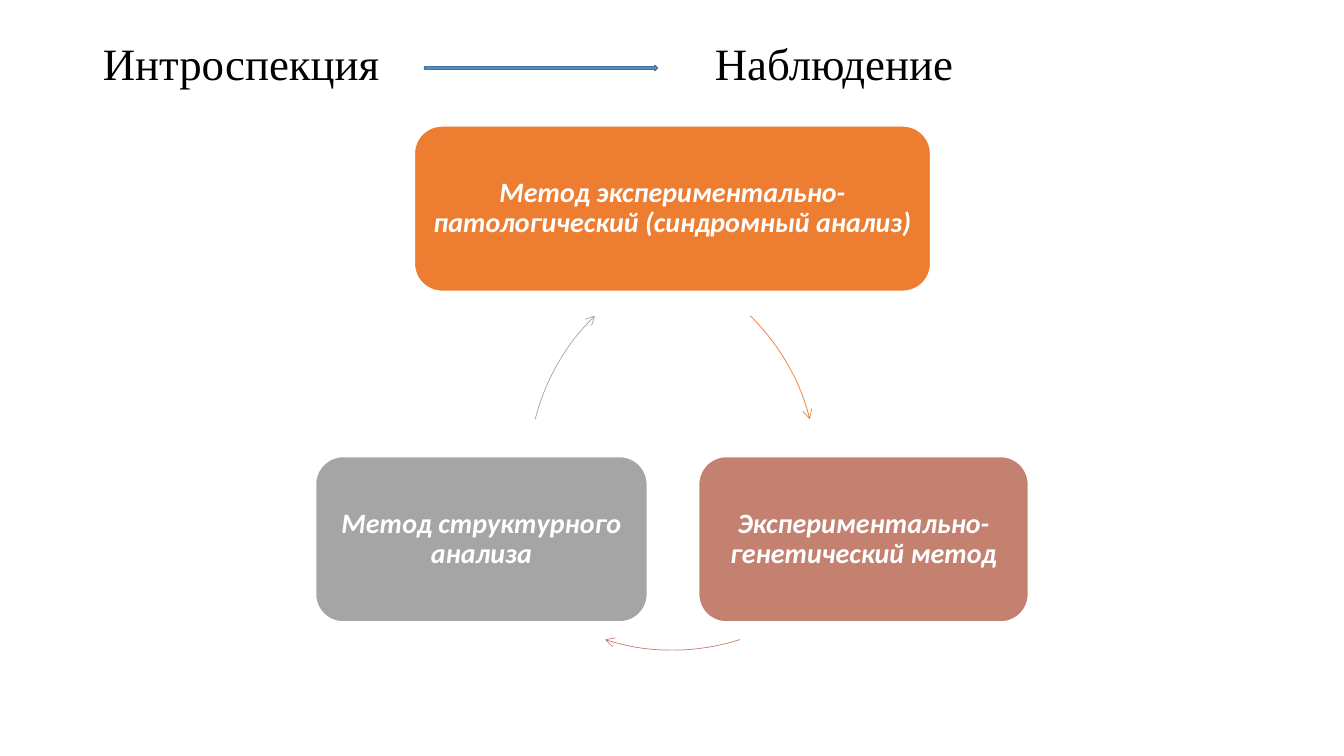
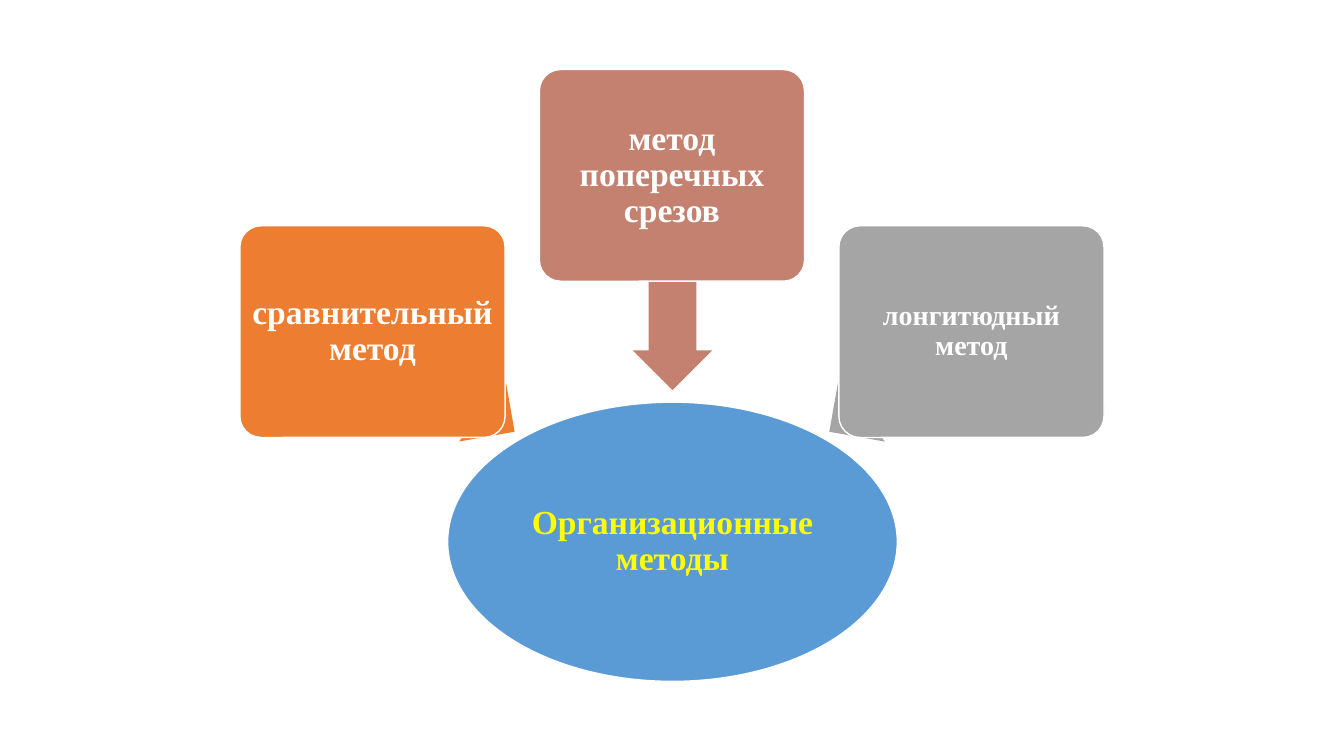
from dataclasses import dataclass

from lxml.etree import SubElement
from pptx import Presentation
from pptx.dml.color import RGBColor
from pptx.enum.shapes import MSO_SHAPE
from pptx.enum.text import MSO_ANCHOR, MSO_AUTO_SIZE, PP_ALIGN
from pptx.oxml.ns import qn
from pptx.presentation import Presentation as PresentationType
from pptx.shapes.autoshape import Shape
from pptx.slide import Slide
from pptx.util import Inches, Pt

COLORS = {
    "orange": "ED7D31",
    "terracotta": "C48170",
    "gray": "A5A5A5",
    "blue": "5B9BD5",
    "dark_blue": "43739E",
    "white": "FFFFFF",
    "yellow": "FFFF00",
    "black": "000000",
}
SERIF = "Times New Roman"
SANS = "Calibri"
LINE_SPACING = 0.9
SLIDE_WIDTH, SLIDE_HEIGHT = 13.33, 7.5
TITLE_ONLY, BLANK = 5, 6


@dataclass(frozen=True)
class Box:
    left: float
    top: float
    width: float
    height: float


@dataclass(frozen=True)
class TextStyle:
    font: str
    size: int
    color: str = "white"
    bold: bool = True
    italic: bool = False
    inset: float = 0.05


@dataclass(frozen=True)
class Card:
    text: str
    box: Box
    color: str
    style: TextStyle


@dataclass(frozen=True)
class CycleArc:
    """An arc with an arrowhead, running clockwise between two angles in degrees."""
    center_x: float
    center_y: float
    start: float
    end: float
    color: str


@dataclass(frozen=True)
class BlockArrow:
    center_x: float
    center_y: float
    length: float
    rotation: float
    color: str


CYCLE_STYLE = TextStyle(SANS, 20, italic=True, inset=0.08)
METHOD_STYLE = TextStyle(SERIF, 24)
LONGITUDINAL_STYLE = TextStyle(SERIF, 20, inset=0.04)
HUB_STYLE = TextStyle(SERIF, 24, "yellow", inset=0.02)
TITLE_STYLE = TextStyle(SERIF, 32, "black", bold=False)

CYCLE_HEIGHT = 1.64
CYCLE_CARDS = (
    Card("Метод экспериментально-патологический (синдромный анализ)",
         Box(4.11, 1.25, 5.12, CYCLE_HEIGHT), "orange", CYCLE_STYLE),
    Card("Экспериментально-генетический метод",
         Box(6.93, 4.53, 3.27, CYCLE_HEIGHT), "terracotta", CYCLE_STYLE),
    Card("Метод структурного анализа",
         Box(3.13, 4.53, 3.29, CYCLE_HEIGHT), "gray", CYCLE_STYLE),
)
ARC_RADIUS = 2.19
CYCLE_ARCS = (
    CycleArc(5.91, 4.7, 314.3, 345.7, "orange"),
    CycleArc(6.67, 4.26, 72.2, 107.8, "terracotta"),
    CycleArc(7.43, 4.7, 194.3, 225.7, "gray"),
)

METHOD_LEFT, METHOD_STEP = 2.38, 2.97
METHOD_WIDTH, METHOD_HEIGHT = 2.63, 2.1
SIDE_TOP, MIDDLE_TOP = 2.24, 0.69


def method_box(column: int, top: float) -> Box:
    return Box(METHOD_LEFT + column * METHOD_STEP, top, METHOD_WIDTH, METHOD_HEIGHT)


METHOD_CARDS = (
    Card("сравнительный метод", method_box(0, SIDE_TOP), "orange", METHOD_STYLE),
    Card("метод поперечных срезов", method_box(1, MIDDLE_TOP), "terracotta", METHOD_STYLE),
    Card("лонгитюдный метод", method_box(2, SIDE_TOP), "gray", LONGITUDINAL_STYLE),
)
ARROW_THICKNESS = 0.79
METHOD_ARROWS = (
    BlockArrow(4.4, 3.79, 1.72, 215, "orange"),
    BlockArrow(6.67, 2.81, 2.12, 270, "terracotta"),
    BlockArrow(8.93, 3.79, 1.72, 325, "gray"),
)


def rgb(name: str) -> RGBColor:
    return RGBColor.from_string(COLORS[name])


def place(shape: Shape, box: Box) -> None:
    shape.left, shape.top = Inches(box.left), Inches(box.top)
    shape.width, shape.height = Inches(box.width), Inches(box.height)


def add_shape(slide: Slide, kind: MSO_SHAPE, box: Box, fill: str | None = None,
              line: str | None = None, line_width: float = 1) -> Shape:
    shape = slide.shapes.add_shape(kind, 0, 0, 0, 0)
    place(shape, box)
    shape.shadow.inherit = False
    if fill:
        shape.fill.solid()
        shape.fill.fore_color.rgb = rgb(fill)
    else:
        shape.fill.background()
    if line:
        shape.line.color.rgb = rgb(line)
        shape.line.width = Pt(line_width)
    else:
        shape.line.fill.background()
    return shape


def write_text(shape: Shape, text: str, style: TextStyle,
               alignment: PP_ALIGN = PP_ALIGN.CENTER) -> None:
    frame = shape.text_frame
    frame.word_wrap = True
    frame.auto_size = MSO_AUTO_SIZE.NONE
    frame.vertical_anchor = MSO_ANCHOR.MIDDLE
    frame.margin_left = frame.margin_right = Inches(style.inset)
    frame.margin_top = frame.margin_bottom = Inches(style.inset)
    paragraph = frame.paragraphs[0]
    paragraph.alignment = alignment
    paragraph.line_spacing = LINE_SPACING
    run = paragraph.add_run()
    run.text = text
    run.font.name = style.font
    run.font.size = Pt(style.size)
    run.font.bold = style.bold
    run.font.italic = style.italic
    run.font.color.rgb = rgb(style.color)


def add_card(slide: Slide, card: Card, corner: float | None = None) -> None:
    shape = add_shape(slide, MSO_SHAPE.ROUNDED_RECTANGLE, card.box, card.color, "white")
    if corner is not None:
        shape.adjustments[0] = corner
    write_text(shape, card.text, card.style)


def add_cycle_arc(slide: Slide, arc: CycleArc) -> None:
    box = Box(arc.center_x - ARC_RADIUS, arc.center_y - ARC_RADIUS,
              2 * ARC_RADIUS, 2 * ARC_RADIUS)
    shape = add_shape(slide, MSO_SHAPE.ARC, box, line=arc.color, line_width=0.5)
    # Angles are stored in 1/60000 degree, adjustments in 1/100000.
    shape.adjustments[0] = arc.start * 0.6
    shape.adjustments[1] = arc.end * 0.6
    line_properties = shape.line._get_or_add_ln()
    SubElement(line_properties, qn("a:tailEnd"), type="arrow")


def add_block_arrow(slide: Slide, arrow: BlockArrow) -> None:
    box = Box(arrow.center_x - arrow.length / 2, arrow.center_y - ARROW_THICKNESS / 2,
              arrow.length, ARROW_THICKNESS)
    shape = add_shape(slide, MSO_SHAPE.LEFT_ARROW, box, arrow.color)
    shape.adjustments[0] = 0.6
    shape.adjustments[1] = 0.5
    shape.rotation = arrow.rotation


def add_title(slide: Slide, text: str, tab_position: float) -> None:
    title = slide.shapes.title
    place(title, Box(0.92, 0.4, 11.5, 0.51))
    write_text(title, text, TITLE_STYLE, PP_ALIGN.LEFT)
    title.text_frame.margin_left = Inches(0.1)
    paragraph_properties = title.text_frame.paragraphs[0]._p.get_or_add_pPr()
    tabs = SubElement(paragraph_properties, qn("a:tabLst"))
    SubElement(tabs, qn("a:tab"), pos=str(Inches(tab_position)), algn="l")


def build_cycle_slide(presentation: PresentationType) -> None:
    slide = presentation.slides.add_slide(presentation.slide_layouts[TITLE_ONLY])
    add_title(slide, "Интроспекция\tНаблюдение", 6.07)
    for card in CYCLE_CARDS:
        add_card(slide, card)
    for arc in CYCLE_ARCS:
        add_cycle_arc(slide, arc)
    add_shape(slide, MSO_SHAPE.RIGHT_ARROW, Box(4.21, 0.65, 2.31, 0.05), "blue", "dark_blue")


def build_methods_slide(presentation: PresentationType) -> None:
    slide = presentation.slides.add_slide(presentation.slide_layouts[BLANK])
    hub = add_shape(slide, MSO_SHAPE.OVAL, Box(4.44, 3.99, 4.46, 2.77), "blue", "white")
    write_text(hub, "Организационные методы", HUB_STYLE)
    for arrow, card in zip(METHOD_ARROWS, METHOD_CARDS):
        add_block_arrow(slide, arrow)
        add_card(slide, card, corner=0.1)


def main() -> None:
    presentation = Presentation()
    presentation.slide_width = Inches(SLIDE_WIDTH)
    presentation.slide_height = Inches(SLIDE_HEIGHT)
    build_cycle_slide(presentation)
    build_methods_slide(presentation)
    presentation.save("out.pptx")


if __name__ == "__main__":
    main()
